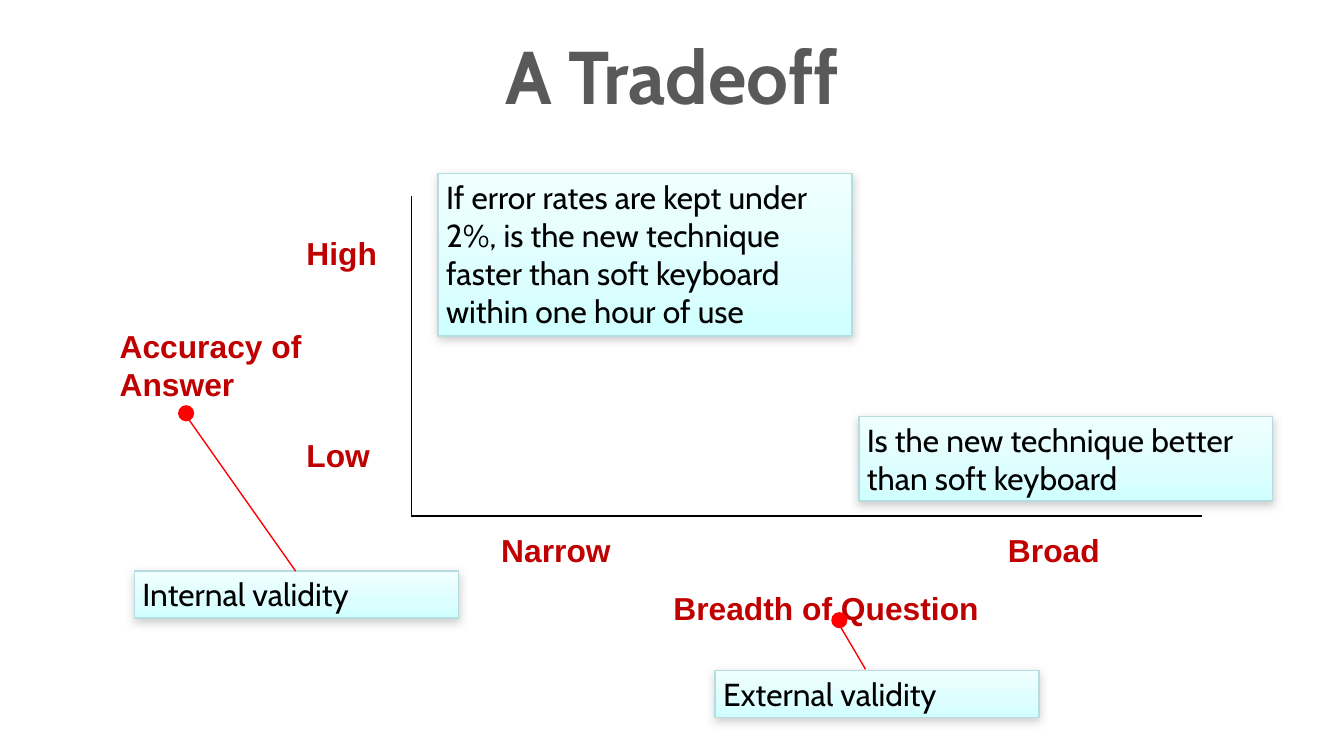
from pptx import Presentation
from pptx.dml.color import RGBColor
from pptx.enum.shapes import MSO_CONNECTOR, MSO_SHAPE
from pptx.enum.text import MSO_ANCHOR, MSO_AUTO_SIZE, PP_ALIGN
from pptx.oxml import parse_xml
from pptx.oxml.ns import nsdecls
from pptx.util import Inches, Pt


def tint(color, code):
    color.rgb = RGBColor.from_string(code)


def write(shape, text, look):
    frame = shape.text_frame
    frame.text = text
    for name, value in look["frame"].items():
        setattr(frame, name, value)
    for para in frame.paragraphs:
        para.alignment = look["align"]
        for name, value in look["font"].items():
            setattr(para.font, name, value)
        tint(para.font.color, look["color"])


inset = {
    "word_wrap": True,
    "auto_size": MSO_AUTO_SIZE.SHAPE_TO_FIT_TEXT,
    "margin_left": Inches(0.06),
    "margin_right": Inches(0.06),
    "margin_top": Inches(0.03),
    "margin_bottom": Inches(0.03),
    "vertical_anchor": MSO_ANCHOR.TOP,
}
head = {
    "frame": {"word_wrap": True, "vertical_anchor": MSO_ANCHOR.MIDDLE},
    "font": {"name": "Cabin", "size": Pt(40), "bold": True},
    "align": PP_ALIGN.CENTER,
    "color": "595959",
}
label = {
    "frame": inset,
    "font": {"name": "Arial", "size": Pt(17), "bold": True},
    "align": PP_ALIGN.LEFT,
    "color": "C00000",
}
note = {
    "frame": inset,
    "font": {"name": "Cabin", "size": Pt(17), "bold": False},
    "align": PP_ALIGN.LEFT,
    "color": "000000",
}

deck = Presentation()
deck.slide_width = Inches(10)
deck.slide_height = Inches(10) * 9 // 16
slide = deck.slides.add_slide(deck.slide_layouts[6])
shapes = slide.shapes

texts = [
    ("A Tradeoff", 0.5, 0.23, 9, 0.65, head),
    ("Accuracy of\nAnswer", 0.83, 2.4, 1.65, 0.63, label),
    ("Breadth of Question", 4.95, 4.35, 2.58, 0.35, label),
    ("Narrow", 3.67, 3.92, 1.44, 0.35, label),
    ("Broad", 7.44, 3.92, 1.44, 0.35, label),
    ("High", 2.22, 1.71, 1.44, 0.35, label),
    ("Low", 2.22, 3.21, 1.44, 0.35, label),
]
for text, *place, look in texts:
    box = shapes.add_textbox(*map(Inches, place))
    write(box, text, look)

stops = "".join(
    f'<a:gs pos="{pos}000"><a:srgbClr val="{code}"/></a:gs>'
    for pos, code in [(0, "F0FFFF"), (65, "DDFEFF"), (100, "CFFFFF")]
)
blend = (
    f'<a:gradFill {nsdecls("a")} rotWithShape="1"><a:gsLst>{stops}</a:gsLst>'
    '<a:lin ang="5400000" scaled="0"/></a:gradFill>'
)
shade = (
    f'<a:effectLst {nsdecls("a")}>'
    f'<a:outerShdw blurRad="{Pt(5)}" dist="{Pt(1.6)}" dir="5400000" rotWithShape="0">'
    '<a:srgbClr val="808080"><a:alpha val="38000"/></a:srgbClr>'
    "</a:outerShdw></a:effectLst>"
)
notes = [
    ("If error rates are kept under 2%, is the new technique faster than "
     "soft keyboard within one hour of use", 3.26, 1.29, 3.08, 1.21),
    ("Is the new technique better than soft keyboard", 6.39, 3.1, 3.08, 0.63),
    ("Internal validity", 1, 4.25, 2.41, 0.35),
    ("External validity", 5.32, 4.99, 2.41, 0.35),
]
for text, *place in notes:
    card = shapes.add_shape(MSO_SHAPE.RECTANGLE, *map(Inches, place))
    card.line.width = Pt(0.75)
    tint(card.line.color, "B6DCDF")
    props = card.element.spPr
    props.insert(2, parse_xml(blend))
    props.append(parse_xml(shade))
    write(card, text, note)

lines = [
    (3.06, 1.46, 3.06, 3.84, "000000"),
    (8.94, 3.84, 3.06, 3.84, "000000"),
    (1.39, 3.1, 2.2, 4.25, "FF0000"),
    (6.24, 4.64, 6.44, 4.98, "FF0000"),
]
for *ends, code in lines:
    line = shapes.add_connector(MSO_CONNECTOR.STRAIGHT, *map(Inches, ends))
    line.line.width = Pt(0.75)
    tint(line.line.color, code)
    line.element.spPr.append(parse_xml(f'<a:effectLst {nsdecls("a")}/>'))

size = Inches(0.11)
for left, top in [(1.33, 3.02), (6.19, 4.56)]:
    dot = shapes.add_shape(MSO_SHAPE.OVAL, Inches(left), Inches(top), size, size)
    dot.shadow.inherit = False
    dot.fill.solid()
    tint(dot.fill.fore_color, "FF0000")
    dot.line.width = Pt(0.75)
    tint(dot.line.color, "FF0000")

deck.save("out.pptx")
